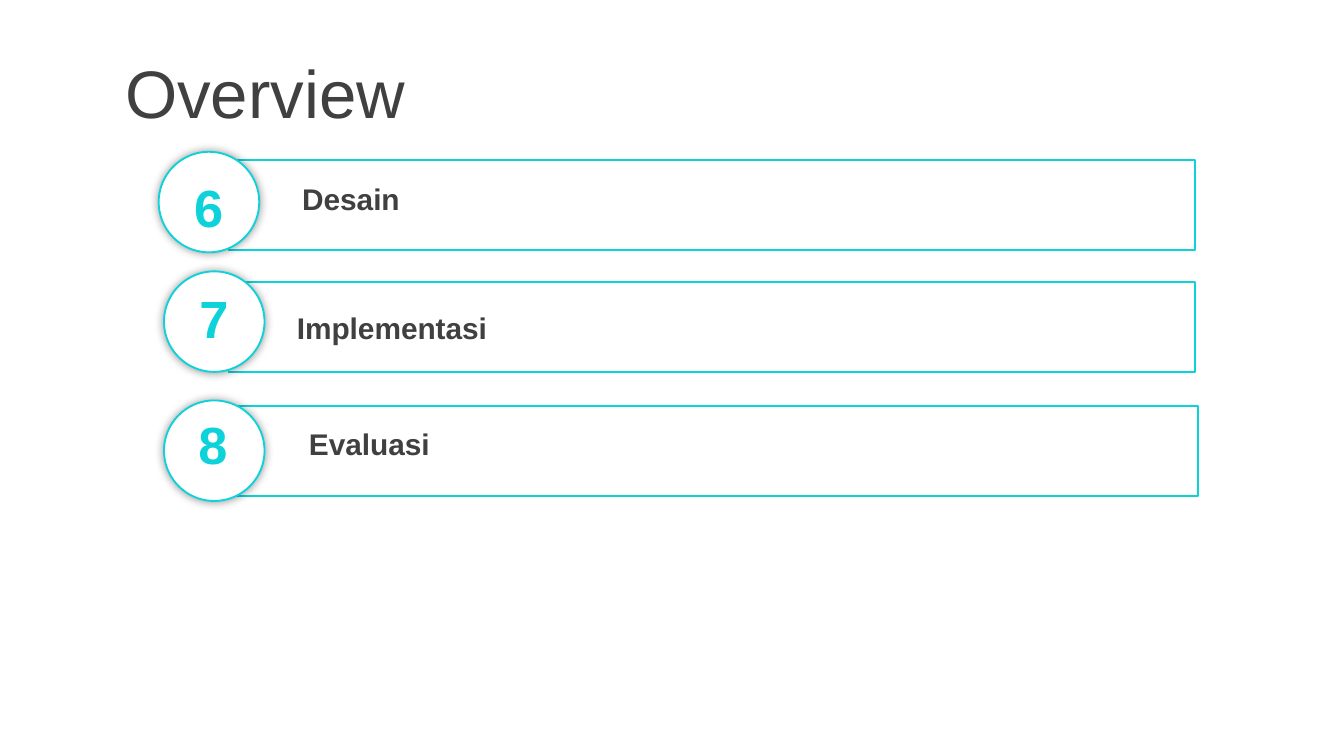
from lxml import etree
from pptx import Presentation
from pptx.dml.color import RGBColor
from pptx.enum import shapes, text
from pptx.oxml import ns
from pptx.util import Cm, Pt

COLORS = {"ink": "404040", "accent": "0DD2D9", "paper": "FFFFFF", "shadow": "000000"}


def write(frame, words, size, color, bold=False, align=text.PP_ALIGN.LEFT):
    frame.word_wrap = True
    frame.vertical_anchor = text.MSO_ANCHOR.MIDDLE
    paragraph = frame.paragraphs[0]
    paragraph.alignment = align
    run = paragraph.add_run()
    run.text = words
    run.font.name = "Arial"
    run.font.size = Pt(size)
    run.font.bold = bold
    run.font.color.rgb = RGBColor.from_string(COLORS[color])


def add_outlined(kind, left, top, width, height):
    """Add an unfilled shape with a thin accent outline and no shadow."""
    outlined = slide.shapes.add_shape(kind, Cm(left), Cm(top), Cm(width), Cm(height))
    outlined.shadow.inherit = False
    outlined.fill.background()
    outlined.line.color.rgb = RGBColor.from_string(COLORS["accent"])
    outlined.line.width = Pt(1)
    return outlined


prs = Presentation()
prs.slide_width, prs.slide_height = Cm(25.4), Cm(14.29)
slide = prs.slides.add_slide(prs.slide_layouts[5])

title = slide.shapes.title
title.left, title.top, title.width, title.height = Cm(2.11), Cm(0.94), Cm(23.29), Cm(1.6)
write(title.text_frame, "Overview", 36, "ink")

# Number, topic, then left and top of the bar, topic, circle and number
chapters = [
    ("6", "Desain", (4.32, 3.02), (5.46, 3.28), (3.0, 2.87), (3.35, 3.18)),
    ("7", "Implementasi", (4.32, 5.33), (5.36, 5.72), (3.1, 5.13), (3.45, 5.28)),
    ("8", "Evaluasi", (4.39, 7.67), (5.59, 7.92), (3.1, 7.57), (3.43, 7.67)),
]

for number, topic, bar_at, topic_at, circle_at, number_at in chapters:
    add_outlined(shapes.MSO_SHAPE.RECTANGLE, *bar_at, 18.26, 1.7)

    left, top = topic_at
    topic_box = slide.shapes.add_textbox(Cm(left), Cm(top), Cm(15.95), Cm(0.94))
    write(topic_box.text_frame, topic, 16, "ink", bold=True)

    circle = add_outlined(shapes.MSO_SHAPE.OVAL, *circle_at, 1.9, 1.9)
    circle.fill.solid()
    circle.fill.fore_color.rgb = RGBColor.from_string(COLORS["paper"])
    effects = circle._element.spPr.find(ns.qn("a:effectLst"))
    glow = etree.SubElement(effects, ns.qn("a:outerShdw"), blurRad=str(Pt(5)),
                            dist="0", dir="0", algn="ctr", rotWithShape="0")
    tint = etree.SubElement(glow, ns.qn("a:srgbClr"), val=COLORS["shadow"])
    etree.SubElement(tint, ns.qn("a:alpha"), val="40000")

    left, top = number_at
    number_box = slide.shapes.add_textbox(Cm(left), Cm(top), Cm(1.19), Cm(1.45))
    write(number_box.text_frame, number, 28, "accent", bold=True,
          align=text.PP_ALIGN.CENTER)

prs.save("out.pptx")
